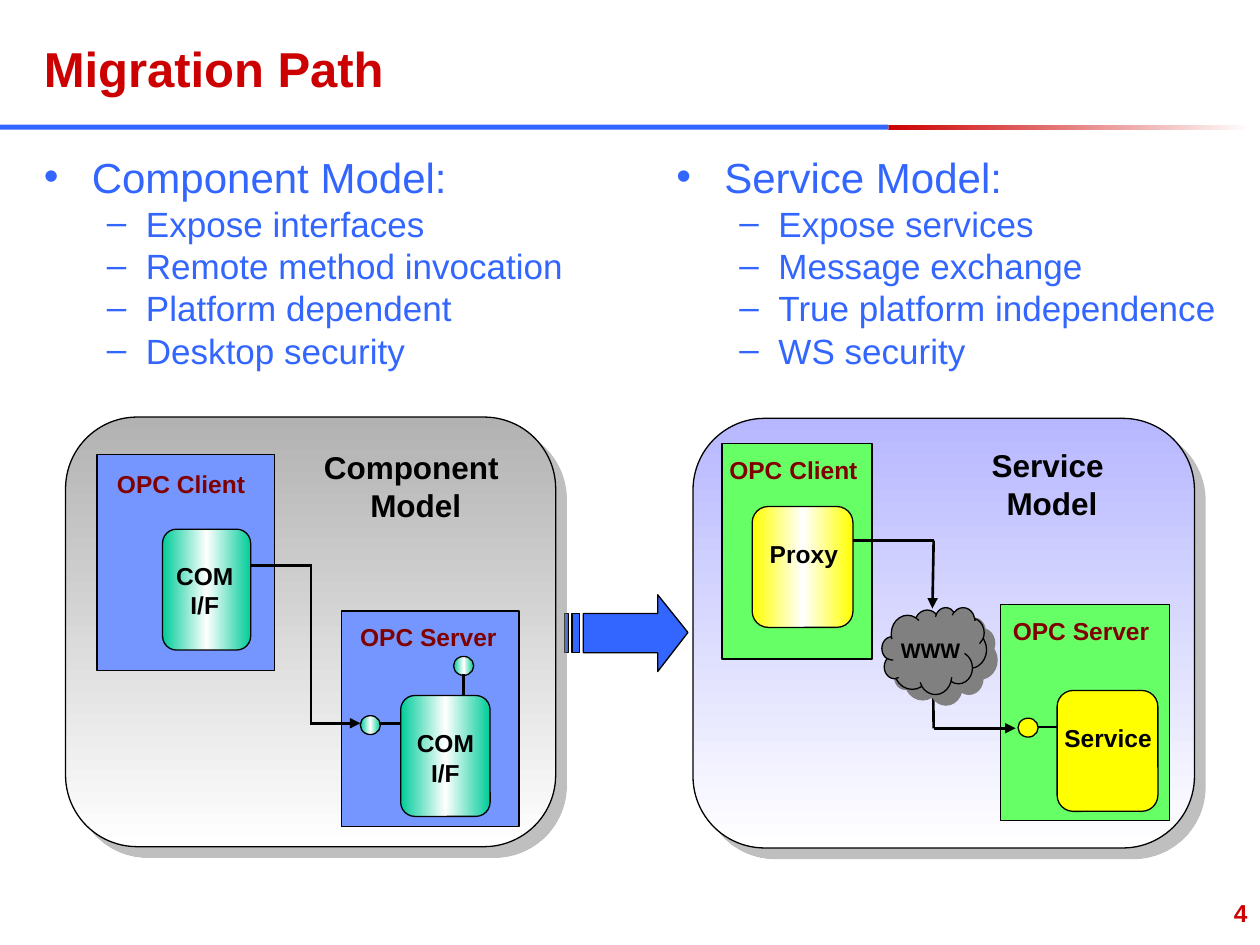
from lxml.etree import SubElement
from pptx import Presentation
from pptx.dml.color import RGBColor
from pptx.enum.shapes import MSO_CONNECTOR, MSO_SHAPE
from pptx.enum.text import MSO_ANCHOR, MSO_AUTO_SIZE, PP_ALIGN
from pptx.oxml import parse_xml
from pptx.oxml.ns import nsdecls, qn
from pptx.util import Inches, Pt

COLORS = {
    "red": "CC0000", "blue": "3366FF", "maroon": "800000", "black": "000000",
    "white": "FFFFFF", "gray": "808080", "silver": "B2B2B2", "lavender": "B7B7FF",
    "sky": "7596FF", "green": "66FF66", "teal": "00CC99", "yellow": "FFFF00",
}

deck = Presentation()
deck.slide_width, deck.slide_height = Inches(10), Inches(7.5)
page = deck.slides.add_slide(deck.slide_layouts[6])


def add_text(lines, place, size=14, color="black", bold=True, align=PP_ALIGN.LEFT,
             wrap=False, anchor=MSO_ANCHOR.TOP, bullets=False):
    box = page.shapes.add_textbox(*map(Inches, place))
    frame = box.text_frame
    frame.word_wrap = wrap
    frame.auto_size = MSO_AUTO_SIZE.NONE if wrap else MSO_AUTO_SIZE.SHAPE_TO_FIT_TEXT
    frame.vertical_anchor = anchor
    for index, line in enumerate(lines):
        para = frame.paragraphs[0] if index == 0 else frame.add_paragraph()
        para.alignment = align
        if bullets:
            margin, hang, mark = (0.81, 0.31, "–") if index else (0.38, 0.38, "•")
            para.level = 1 if index else 0
            para.line_spacing = 0.8
            para.space_before = Pt(5 if index else 0)
            properties = para._p.get_or_add_pPr()
            properties.set("marL", str(Inches(margin)))
            properties.set("indent", str(-Inches(hang)))
            SubElement(properties, qn("a:buFont")).set("typeface", "Arial")
            SubElement(properties, qn("a:buChar")).set("char", mark)
        span = para.add_run()
        span.text = line
        span.font.name = "Arial"
        span.font.size = Pt(20 if bullets and index else size)
        span.font.bold = bold
        span.font.color.rgb = RGBColor.from_string(COLORS[color])


def style_shape(shape, fills, angle=0, outline=True, shadow_alpha=0):
    shape.shadow.inherit = False
    if len(fills) == 1:
        shape.fill.solid()
        shape.fill.fore_color.rgb = RGBColor.from_string(COLORS[fills[0]])
    else:
        stops = "".join(
            f'<a:gs pos="{100000 * index // (len(fills) - 1)}">'
            f'<a:srgbClr val="{COLORS[name]}"/></a:gs>'
            for index, name in enumerate(fills))
        shape._element.spPr.insert(2, parse_xml(
            f'<a:gradFill {nsdecls("a")} rotWithShape="1"><a:gsLst>{stops}</a:gsLst>'
            f'<a:lin ang="{angle * 60000}" scaled="0"/></a:gradFill>'))
    if outline:
        shape.line.color.rgb = RGBColor.from_string(COLORS["black"])
        shape.line.width = Pt(0.75)
    else:
        shape.line.fill.background()
    if shadow_alpha:
        shape._element.spPr.find(qn("a:effectLst")).append(parse_xml(
            f'<a:outerShdw {nsdecls("a")} dist="{Pt(8.5)}" dir="2700000" algn="ctr" '
            f'rotWithShape="0"><a:srgbClr val="{COLORS["gray"]}">'
            f'<a:alpha val="{shadow_alpha * 1000}"/></a:srgbClr></a:outerShdw>'))


for place, fills in [((7.05, 0.99, 2.88, 0.04), ["red", "white"]),
                     ((0, 0.99, 7.05, 0.04), ["blue"])]:
    bar = page.shapes.add_shape(MSO_SHAPE.RECTANGLE, *map(Inches, place))
    style_shape(bar, fills, outline=False)

add_text(["Migration Path"], (0.25, 0.25, 6.83, 0.58), size=28, color="red",
         wrap=True, anchor=MSO_ANCHOR.MIDDLE)
add_text(["Component Model:", "Expose interfaces", "Remote method invocation",
          "Platform dependent", "Desktop security"], (0.25, 1.23, 4.35, 1.87),
         size=24, color="blue", bold=False, wrap=True, bullets=True)
add_text(["Service Model:", "Expose services", "Message exchange",
          "True platform independence", "WS security"], (5.27, 1.23, 4.51, 1.87),
         size=24, color="blue", bold=False, wrap=True, bullets=True)

arrow_outline = [(4.63, 4.87), (5.22, 4.87), (5.22, 4.72), (5.46, 5.02),
                 (5.22, 5.33), (5.22, 5.18), (4.63, 5.18)]
builder = page.shapes.build_freeform(Inches(4.63), Inches(4.87), scale=1.0)
builder.add_line_segments([(Inches(x), Inches(y)) for x, y in arrow_outline[1:]])
for left, right in [(4.48, 4.51), (4.54, 4.6)]:
    builder.move_to(Inches(left), Inches(4.87))
    builder.add_line_segments([(Inches(x), Inches(y)) for x, y in
                               [(right, 4.87), (right, 5.18), (left, 5.18)]])
style_shape(builder.convert_to_shape(), ["blue"])

for place, tint in [((0.52, 3.31, 3.89, 3.41), "silver"),
                    ((5.5, 3.32, 3.98, 3.41), "lavender")]:
    panel = page.shapes.add_shape(MSO_SHAPE.FLOWCHART_ALTERNATE_PROCESS,
                                  *map(Inches, place))
    style_shape(panel, [tint, "white"], angle=90, shadow_alpha=50)

for left, top, width, color in [(0.77, 3.61, 1.41, "sky"), (2.71, 4.85, 1.41, "sky"),
                                (5.73, 3.52, 1.19, "green"), (7.94, 4.8, 1.34, "green")]:
    program = page.shapes.add_shape(MSO_SHAPE.RECTANGLE, Inches(left), Inches(top),
                                    Inches(width), Inches(1.71))
    style_shape(program, [color])

teal_shine = ["teal", "white", "teal"]
yellow_shine = ["yellow", "white", "yellow"]
for left, top, width, fills in [(1.29, 4.2, 0.7, teal_shine), (3.18, 5.52, 0.71, teal_shine),
                                (5.97, 4.02, 0.8, yellow_shine), (8.39, 5.48, 0.8, ["yellow"])]:
    module = page.shapes.add_shape(MSO_SHAPE.ROUNDED_RECTANGLE, Inches(left), Inches(top),
                                   Inches(width), Inches(0.96))
    module.adjustments[0] = 0.16
    style_shape(module, fills)

for left, top, fills in [(2.86, 5.68, teal_shine), (3.6, 5.21, teal_shine),
                         (8.08, 5.7, ["yellow"])]:
    port = page.shapes.add_shape(MSO_SHAPE.OVAL, Inches(left), Inches(top),
                                 Inches(0.16), Inches(0.15))
    style_shape(port, fills)

for start_x, start_y, end_x, end_y, has_head in [
        (3.68, 5.35, 3.68, 5.52, False), (3.01, 5.74, 3.18, 5.74, False),
        (1.99, 4.49, 2.48, 4.49, False), (2.47, 4.48, 2.47, 5.74, False),
        (2.46, 5.74, 2.86, 5.74, True), (8.24, 5.77, 8.4, 5.77, False),
        (6.77, 4.29, 7.41, 4.29, False), (7.41, 4.29, 7.4, 4.83, True),
        (7.4, 4.93, 7.41, 5.78, False), (7.41, 5.78, 8.06, 5.78, True)]:
    link = page.shapes.add_connector(MSO_CONNECTOR.STRAIGHT, Inches(start_x),
                                     Inches(start_y), Inches(end_x), Inches(end_y))
    link.line.color.rgb = RGBColor.from_string(COLORS["black"])
    link.line.width = Pt(1.5)
    if has_head:
        SubElement(link._element.spPr.find(qn("a:ln")), qn("a:tailEnd")).set("type", "triangle")
    SubElement(link._element.spPr, qn("a:effectLst"))

cloud = page.shapes.add_shape(MSO_SHAPE.CLOUD, Inches(7), Inches(4.82),
                              Inches(0.83), Inches(0.69))
style_shape(cloud, ["gray"], shadow_alpha=100)

for label, place in [("OPC Client", (0.83, 3.67, 1.24, 0.34)),
                     ("OPC Server", (2.76, 4.89, 1.3, 0.34)),
                     ("OPC Client", (5.69, 3.56, 1.24, 0.34)),
                     ("OPC Server", (7.94, 4.84, 1.3, 0.34))]:
    add_text([label], place, color="maroon")

for lines, place, size in [(["COM", "I/F"], (1.28, 4.4, 0.69, 0.57), 14),
                           (["COM", "I/F"], (3.19, 5.73, 0.69, 0.57), 14),
                           (["Proxy"], (5.99, 4.23, 0.78, 0.34), 14),
                           (["Service"], (8.33, 5.69, 0.93, 0.34), 14),
                           (["WWW"], (7.03, 5.01, 0.71, 0.3), 12),
                           (["Component ", "Model"], (2.47, 3.51, 1.66, 0.7), 18),
                           (["Service ", "Model"], (7.77, 3.49, 1.16, 0.7), 18)]:
    add_text(lines, place, size=size, align=PP_ALIGN.CENTER)

add_text(["4"], (7.92, 7.08, 2.08, 0.42), color="red", align=PP_ALIGN.RIGHT, wrap=True)

deck.save("out.pptx")
